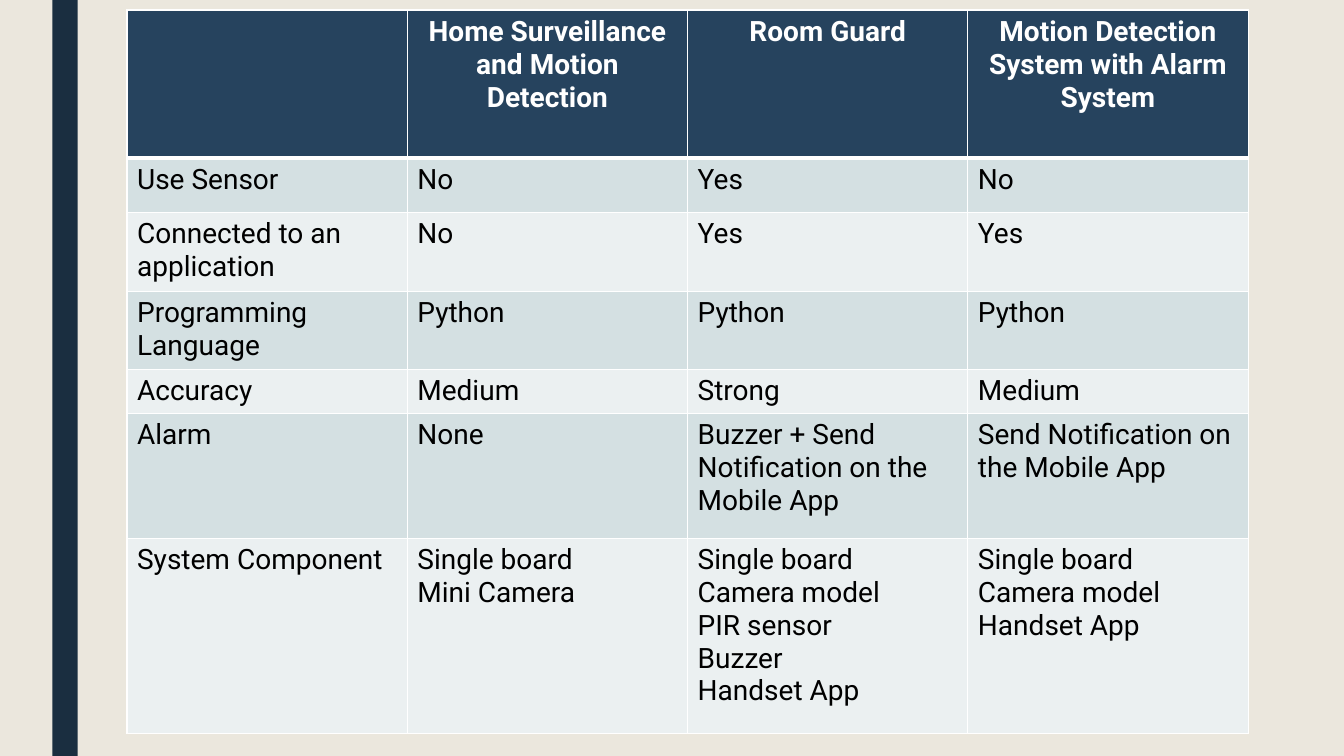
from lxml import etree
from pptx import Presentation
from pptx import util as u
from pptx.dml.color import RGBColor
from pptx.enum import shapes, text
from pptx.oxml.ns import qn

THEME = {
    "background": "EBE7DD",
    "side_bar": "1A2E40",
    "header": "26435E",
    "bands": ("D4E0E2", "EBF0F1"),
    "border": "FFFFFF",
    "header_text": "FFFFFF",
    "body_text": "000000",
    "font": "Roboto",
    "size": 20,
    "thin": 1,
    "thick": 3,
}

COLUMN_WIDTH = 2.78
ROW_HEIGHTS = (1.47, 0.54, 0.78, 0.78, 0.43, 1.24, 1.94)
COMPARISON = (
    ("", "Home Surveillance and Motion Detection", "Room Guard",
     "Motion Detection System with Alarm System"),
    ("Use Sensor", "No", "Yes", "No"),
    ("Connected to an application", "No", "Yes", "Yes"),
    ("Programming Language", "Python", "Python", "Python"),
    ("Accuracy", "Medium", "Strong", "Medium"),
    ("Alarm", "None", "Buzzer + Send Notification on the Mobile App",
     "Send Notification on the Mobile App"),
    ("System Component", "Single board\nMini Camera",
     "Single board\nCamera model\nPIR sensor\nBuzzer\nHandset App",
     "Single board\nCamera model\nHandset App"),
)


def paint(fill, color):
    fill.solid()
    fill.fore_color.rgb = RGBColor.from_string(color)


def add_border(cell, side, points):
    """Draw one cell edge; side is L, R, T or B. Call before filling the cell."""
    properties = cell._tc.get_or_add_tcPr()
    line = etree.SubElement(properties, qn(f"a:ln{side}"), w=str(u.Pt(points)))
    solid = etree.SubElement(line, qn("a:solidFill"))
    etree.SubElement(solid, qn("a:srgbClr"), val=THEME["border"])


presentation = Presentation()
presentation.slide_width = u.Inches(13.33)
presentation.slide_height = u.Inches(7.5)
slide = presentation.slides.add_slide(presentation.slide_layouts[6])
paint(slide.background.fill, THEME["background"])

side_bar = slide.shapes.add_shape(
    shapes.MSO_SHAPE.RECTANGLE, u.Inches(0.52), 0, u.Inches(0.25), presentation.slide_height)
side_bar.shadow.inherit = False
side_bar.line.fill.background()
paint(side_bar.fill, THEME["side_bar"])

row_count, column_count = len(COMPARISON), len(COMPARISON[0])
table = slide.shapes.add_table(
    row_count, column_count, u.Inches(1.26), u.Inches(0.1),
    u.Inches(COLUMN_WIDTH * column_count), u.Inches(sum(ROW_HEIGHTS))).table
for column in table.columns:
    column.width = u.Inches(COLUMN_WIDTH)

for row_index, (height, entries) in enumerate(zip(ROW_HEIGHTS, COMPARISON)):
    table.rows[row_index].height = u.Inches(height)
    is_header = row_index == 0
    fill_color = THEME["header"] if is_header else THEME["bands"][(row_index - 1) % 2]
    text_color = THEME["header_text"] if is_header else THEME["body_text"]
    edges = {"L": "thin", "R": "thin",
             "T": "thick" if row_index == 1 else "thin",
             "B": "thick" if is_header else "thin"}

    for column_index, entry in enumerate(entries):
        cell = table.cell(row_index, column_index)
        for side, weight in edges.items():
            add_border(cell, side, THEME[weight])
        paint(cell.fill, fill_color)
        cell.text_frame.text = entry
        for paragraph in cell.text_frame.paragraphs:
            paragraph.alignment = text.PP_ALIGN.CENTER if is_header else text.PP_ALIGN.LEFT
            for run in paragraph.runs:
                run.font.name = THEME["font"]
                run.font.size = u.Pt(THEME["size"])
                run.font.bold = is_header
                run.font.color.rgb = RGBColor.from_string(text_color)

presentation.save("out.pptx")
